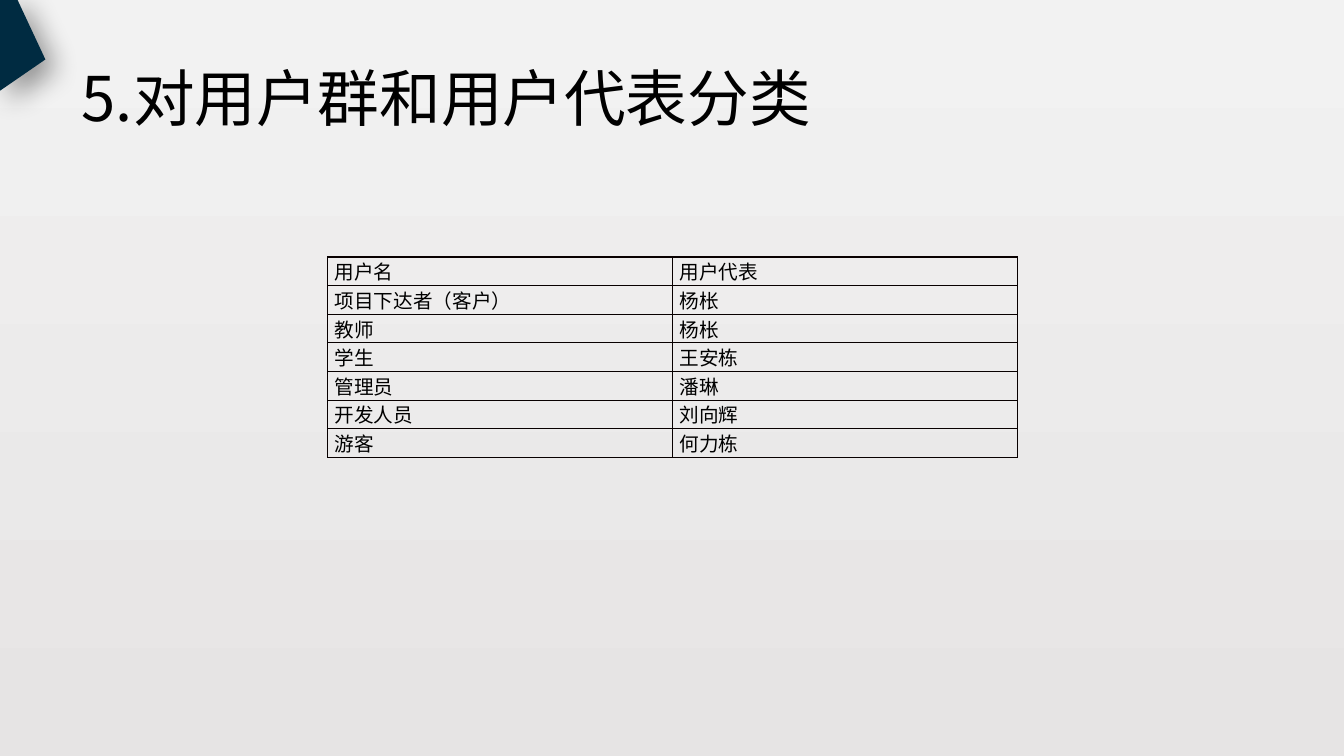
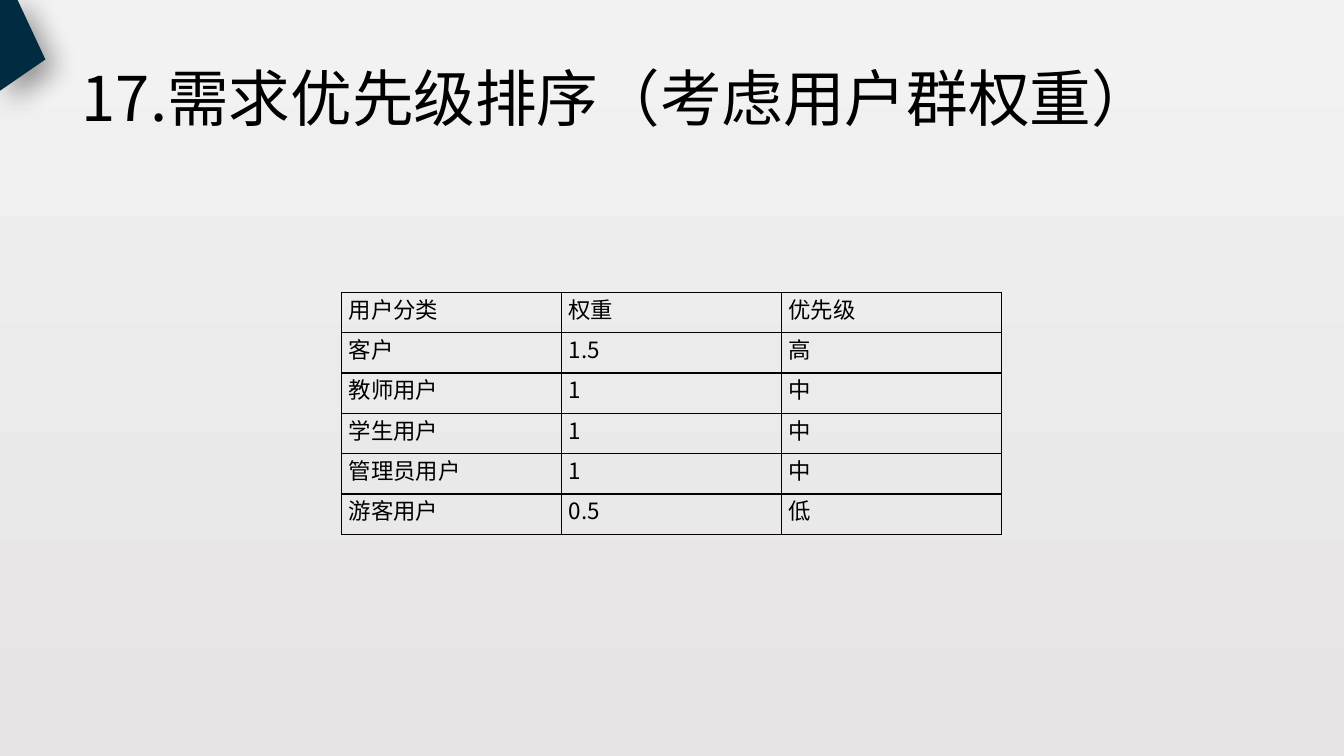
"""Build two requirement slides, each with a title and a bordered table."""
from dataclasses import dataclass

from lxml import etree
from pptx import Presentation
from pptx import util as u
from pptx.dml import color
from pptx.enum import text
from pptx.oxml import ns


@dataclass(frozen=True)
class Theme:
    """Colours, font and type sizes shared by the slides."""

    font: str = "Noto Sans CJK SC"
    ink: str = "000000"
    border: str = "080000"
    corner: str = "002B41"
    sky: tuple = ("F2F2F2", "E6E4E4")
    title_size: int = 44
    border_width: int = 1


class DeckBuilder:
    """Holds the style, the deck and the current page."""

    def __init__(self, theme):
        """Start a widescreen deck with the shared background."""
        self.theme = theme
        self.deck = Presentation()
        self.deck.slide_width = u.Inches(13.33)
        self.deck.slide_height = u.Inches(7.5)
        self.page = None
        fill = self.deck.slide_master.background.fill
        fill.gradient()
        fill.gradient_angle = 270
        for stop, shade in zip(fill.gradient_stops, theme.sky):
            stop.color.rgb = color.RGBColor.from_string(shade)

    def add_page(self, title):
        """Add a titled page with its corner piece."""
        self.page = self.deck.slides.add_slide(self.deck.slide_layouts[5])
        self.add_title(title)
        self.add_corner()

    def add_span(self, para, words, size):
        """Add one run in the theme font."""
        span = para.add_run()
        span.text = words
        span.font.size = u.Pt(size)
        span.font.name = self.theme.font
        span.font.color.rgb = color.RGBColor.from_string(self.theme.ink)
        latin = span.font._element.find(ns.qn("a:latin"))
        east = etree.Element(ns.qn("a:ea"), typeface=self.theme.font)
        latin.addnext(east)

    def add_title(self, words):
        """Place and fill the title placeholder."""
        box = self.page.shapes.title
        box.left, box.top = u.Inches(0.71), u.Inches(0.28)
        box.width, box.height = u.Inches(11.5), u.Inches(1.45)
        frame = box.text_frame
        frame.word_wrap = True
        frame.auto_size = text.MSO_AUTO_SIZE.NONE
        frame.vertical_anchor = text.MSO_ANCHOR.MIDDLE
        para = frame.paragraphs[0]
        para.alignment = text.PP_ALIGN.LEFT
        para.line_spacing = 0.9
        self.add_span(para, words, self.theme.title_size)

    def add_corner(self):
        """Draw the dark corner piece with its soft shadow."""
        outline = [(0.17, -0.01), (0, -0.01), (0, 0.9), (0.45, 0.59)]
        points = [(u.Inches(x), u.Inches(y)) for x, y in outline]
        builder = self.page.shapes.build_freeform(*points[0])
        builder.add_line_segments(points[1:], close=True)
        corner = builder.convert_to_shape()
        corner.fill.solid()
        corner.fill.fore_color.rgb = color.RGBColor.from_string(self.theme.corner)
        corner.line.fill.background()
        corner.shadow.inherit = False
        effects = corner._element.spPr.find(ns.qn("a:effectLst"))
        shadow = etree.SubElement(
            effects, ns.qn("a:outerShdw"), blurRad=str(u.Pt(20)),
            dist=str(u.Pt(10)), dir=str(45 * 60000), algn="tl", rotWithShape="0")
        tint = etree.SubElement(shadow, ns.qn("a:srgbClr"), val=self.theme.ink)
        etree.SubElement(tint, ns.qn("a:alpha"), val="40000")

    def add_borders(self, cell):
        """Line all four sides of a cell."""
        props = cell._tc.get_or_add_tcPr()
        for place, side in enumerate(("lnL", "lnR", "lnT", "lnB")):
            line = etree.Element(
                ns.qn(f"a:{side}"), w=str(u.Pt(self.theme.border_width)))
            fill = etree.SubElement(line, ns.qn("a:solidFill"))
            etree.SubElement(fill, ns.qn("a:srgbClr"), val=self.theme.border)
            props.insert(place, line)

    def add_table(self, rows, left, top, column_width, row_height, size):
        """Add an unfilled table with equal columns and rows."""
        columns = len(rows[0])
        table = self.page.shapes.add_table(
            len(rows), columns, u.Inches(left), u.Inches(top),
            u.Inches(column_width * columns),
            u.Inches(row_height * len(rows))).table
        table.first_row = table.horz_banding = False
        for row, entries in zip(table.rows, rows):
            for cell, words in zip(row.cells, entries):
                cell.fill.background()
                cell.margin_left = cell.margin_right = u.Inches(0.07)
                cell.margin_top = cell.margin_bottom = 0
                self.add_span(cell.text_frame.paragraphs[0], words, size)
                self.add_borders(cell)


def main():
    """Build and save the deck."""
    builder = DeckBuilder(Theme())

    builder.add_page("5.对用户群和用户代表分类")
    representatives = [
        ("用户名", "用户代表"),
        ("项目下达者（客户）", "杨枨"),
        ("教师", "杨枨"),
        ("学生", "王安栋"),
        ("管理员", "潘琳"),
        ("开发人员", "刘向辉"),
        ("游客", "何力栋"),
    ]
    builder.add_table(representatives, left=3.25, top=2.55,
                      column_width=3.42, row_height=0.23, size=14)

    builder.add_page("17.需求优先级排序（考虑用户群权重）")
    priorities = [
        ("用户分类", "权重", "优先级"),
        ("客户", "1.5", "高"),
        ("教师用户", "1", "中"),
        ("学生用户", "1", "中"),
        ("管理员用户", "1", "中"),
        ("游客用户", "0.5", "低"),
    ]
    builder.add_table(priorities, left=3.39, top=2.9,
                      column_width=2.18, row_height=0.4, size=16)

    builder.deck.save("out.pptx")


if __name__ == "__main__":
    main()
